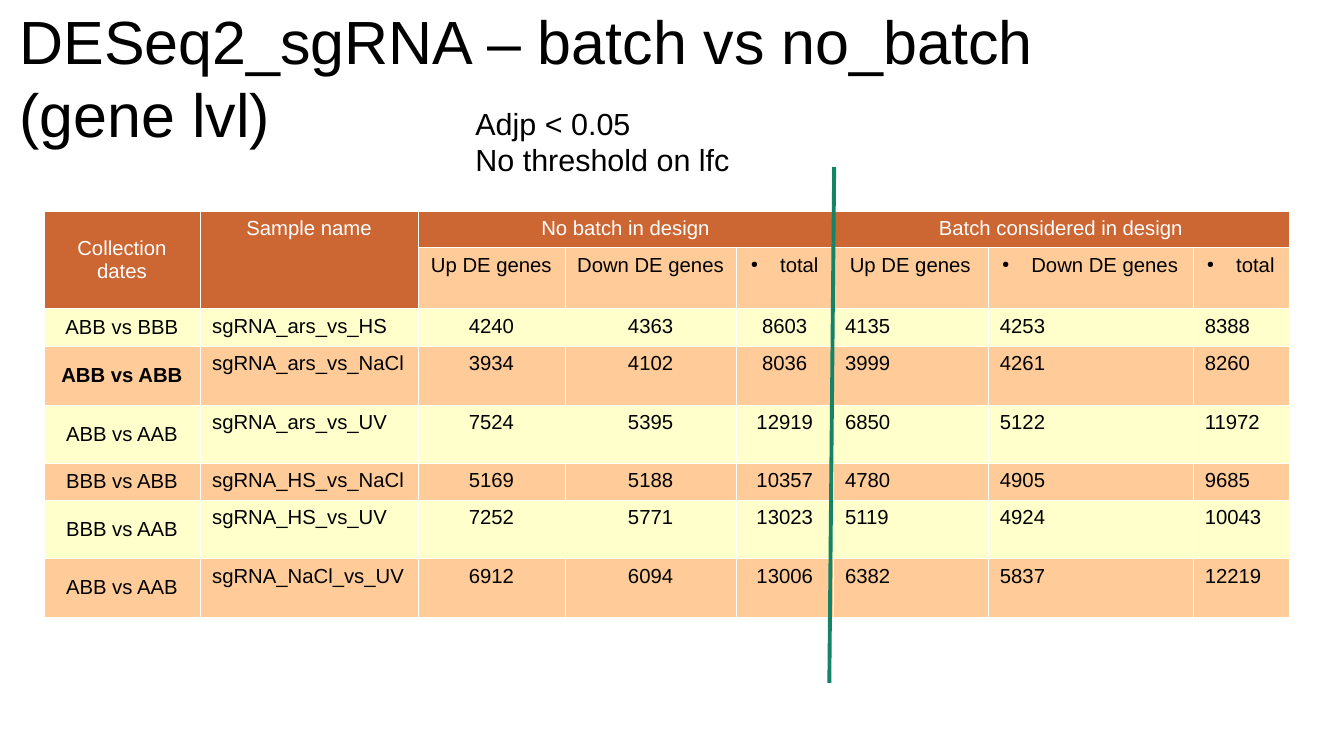
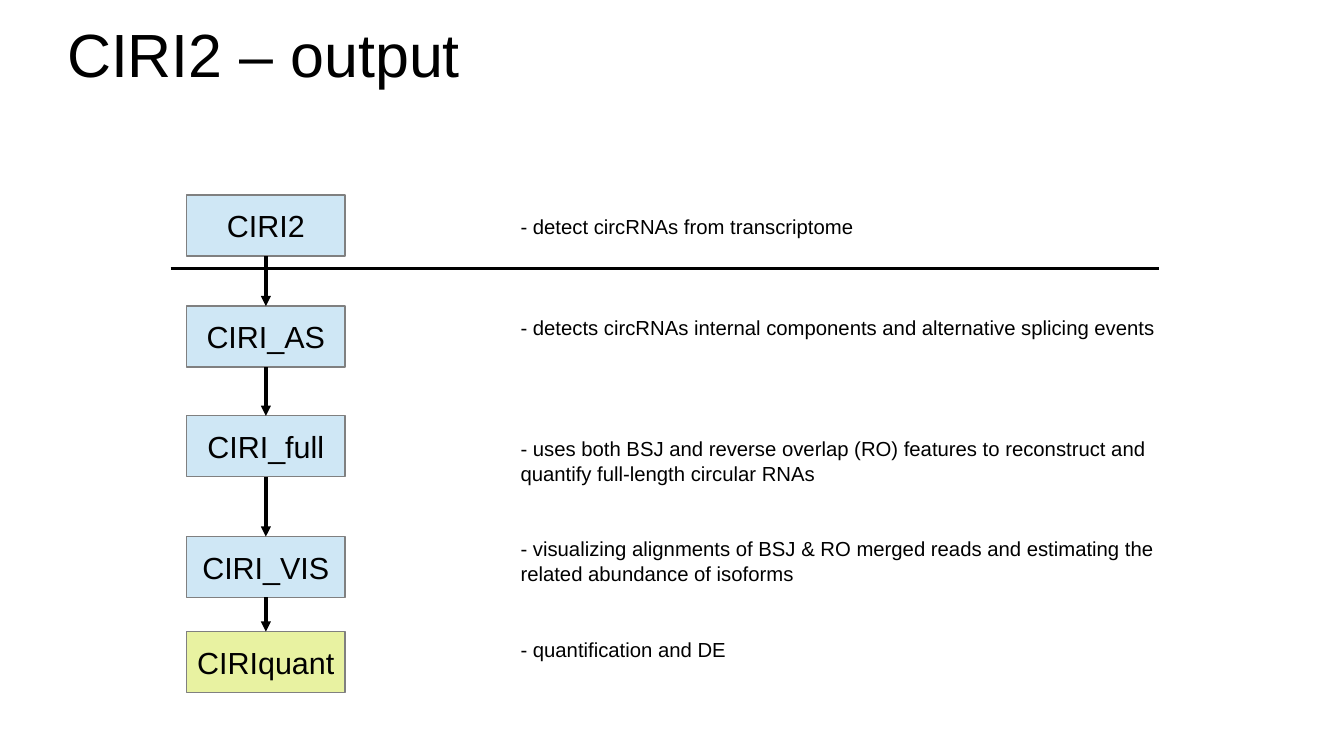
from dataclasses import dataclass
from itertools import pairwise
from lxml.etree import SubElement
from pptx import Presentation
from pptx.dml.color import RGBColor
from pptx.enum.shapes import MSO_CONNECTOR, MSO_SHAPE
from pptx.enum.text import MSO_ANCHOR, PP_ALIGN
from pptx.oxml.ns import qn
from pptx.util import Inches, Pt


@dataclass(frozen=True)
class Theme:
    font: str = "Arial"
    title_size: float = 36
    label_size: float = 18
    body_size: float = 12
    text: str = "000000"
    white: str = "FFFFFF"
    header: str = "CC6633"
    orange: str = "FFCC99"
    yellow: str = "FFFFCC"
    divider: str = "158466"
    step: str = "CFE7F5"
    final_step: str = "E8F2A1"
    outline: str = "808080"


THEME = Theme()
BULLET = "●"

COLUMN_WIDTHS = [1.28, 1.79, 1.2, 1.41, 0.79, 1.27, 1.68, 0.79]
ROW_HEIGHTS = [0.29, 0.5, 0.31, 0.48, 0.48, 0.3, 0.48, 0.48]
GROUP_HEADERS = ["Collection dates", "Sample name", "No batch in design", "", "",
                 "Batch considered in design", "", ""]
COLUMN_HEADERS = ["", "", "Up DE genes", "Down DE genes", BULLET + "total",
                  "Up DE genes", BULLET + "Down DE genes", BULLET + "total"]
COMPARISONS = [
    ["ABB vs BBB", "sgRNA_ars_vs_HS", 4240, 4363, 8603, 4135, 4253, 8388],
    ["ABB vs ABB", "sgRNA_ars_vs_NaCl", 3934, 4102, 8036, 3999, 4261, 8260],
    ["ABB vs AAB", "sgRNA_ars_vs_UV", 7524, 5395, 12919, 6850, 5122, 11972],
    ["BBB vs ABB", "sgRNA_HS_vs_NaCl", 5169, 5188, 10357, 4780, 4905, 9685],
    ["BBB vs AAB", "sgRNA_HS_vs_UV", 7252, 5771, 13023, 5119, 4924, 10043],
    ["ABB vs AAB", "sgRNA_NaCl_vs_UV", 6912, 6094, 13006, 6382, 5837, 12219],
]
BOLD_DATES = "ABB vs ABB"

STEP_LEFT, STEP_WIDTH, STEP_HEIGHT = 1.53, 1.3, 0.5
STEPS = [
    ("CIRI2", 1.6, "- detect circRNAs from transcriptome", 1.71),
    ("CIRI_AS", 2.51,
     "- detects circRNAs internal components and alternative splicing events", 2.54),
    ("CIRI_full", 3.41,
     "- uses both BSJ and reverse overlap (RO) features to reconstruct and "
     "quantify full-length circular RNAs", 3.53),
    ("CIRI_VIS", 4.4,
     "- visualizing alignments of BSJ & RO merged reads and estimating the "
     "related abundance of isoforms", 4.35),
    ("CIRIquant", 5.18, "- quantification and DE", 5.18),
]


def rgb(value):
    return RGBColor.from_string(value)


def write_text(frame, text, size, color=THEME.text, align=PP_ALIGN.LEFT):
    frame.text = text
    for paragraph in frame.paragraphs:
        paragraph.alignment = align
        paragraph.font.name = THEME.font
        paragraph.font.size = Pt(size)
        paragraph.font.color.rgb = rgb(color)


def add_text(page, left, top, width, height, text, size):
    box = page.shapes.add_textbox(Inches(left), Inches(top), Inches(width), Inches(height))
    box.text_frame.word_wrap = True
    write_text(box.text_frame, text, size)
    return box


def add_title(page, left, top, width, height, text):
    frame = add_text(page, left, top, width, height, text, THEME.title_size).text_frame
    frame.vertical_anchor = MSO_ANCHOR.MIDDLE
    frame.margin_left = frame.margin_right = frame.margin_top = frame.margin_bottom = 0


def add_line(page, start, end, color=THEME.text, width=0, arrow=False):
    line = page.shapes.add_connector(
        MSO_CONNECTOR.STRAIGHT, *(Inches(value) for value in (*start, *end)))
    line.line.color.rgb = rgb(color)
    line.line.width = Pt(width)
    if arrow:
        SubElement(line.line._get_or_add_ln(), qn("a:tailEnd"), type="triangle")
    SubElement(line._element.spPr, qn("a:effectLst"))


def add_step(page, top, text, fill):
    box = page.shapes.add_shape(MSO_SHAPE.RECTANGLE, Inches(STEP_LEFT), Inches(top),
                                Inches(STEP_WIDTH), Inches(STEP_HEIGHT))
    box.shadow.inherit = False
    box.fill.solid()
    box.fill.fore_color.rgb = rgb(fill)
    box.line.color.rgb = rgb(THEME.outline)
    box.line.width = Pt(0)
    box.text_frame.word_wrap = False
    box.text_frame.vertical_anchor = MSO_ANCHOR.MIDDLE
    write_text(box.text_frame, text, THEME.label_size, align=PP_ALIGN.CENTER)


def add_color(parent, color):
    SubElement(parent, qn("a:srgbClr"), val=color)


def set_borders(cell):
    properties = cell._tc.get_or_add_tcPr()
    for side in ("lnL", "lnR", "lnT", "lnB"):
        border = SubElement(properties, qn("a:" + side), w=str(Pt(0.06)))
        add_color(SubElement(border, qn("a:solidFill")), THEME.white)


def set_bullet(paragraph):
    properties = paragraph._p.get_or_add_pPr()
    indent = Inches(0.24)
    properties.set("marL", str(indent))
    properties.set("indent", str(-indent))
    bullet_parts = [
        SubElement(properties, qn("a:buClr")),
        SubElement(properties, qn("a:buSzPct"), val="45000"),
        SubElement(properties, qn("a:buChar"), char=BULLET),
    ]
    add_color(bullet_parts[0], THEME.text)
    defaults = properties.find(qn("a:defRPr"))
    for part in bullet_parts:
        defaults.addprevious(part)


def fill_cell(cell, text, fill, color, align):
    set_borders(cell)
    cell.fill.solid()
    cell.fill.fore_color.rgb = rgb(fill)
    cell.margin_left = cell.margin_right = Inches(0.1)
    cell.margin_top = cell.margin_bottom = Inches(0.05)
    write_text(cell.text_frame, text.removeprefix(BULLET), THEME.body_size, color, align)
    paragraph = cell.text_frame.paragraphs[0]
    if text.startswith(BULLET):
        set_bullet(paragraph)
    if text == BOLD_DATES:
        paragraph.font.bold = True


def cell_style(row, column):
    if row == 0 or (row == 1 and column < 2):
        return THEME.header, THEME.white, PP_ALIGN.CENTER
    fill = THEME.yellow if row > 1 and row % 2 == 0 else THEME.orange
    left_aligned = row > 1 and (column == 1 or column > 4)
    return fill, THEME.text, PP_ALIGN.LEFT if left_aligned else PP_ALIGN.CENTER


def add_gene_table(page):
    rows = [GROUP_HEADERS, COLUMN_HEADERS, *COMPARISONS]
    table = page.shapes.add_table(
        len(rows), len(COLUMN_WIDTHS), Inches(0.36), Inches(1.73),
        Inches(sum(COLUMN_WIDTHS)), Inches(sum(ROW_HEIGHTS))).table
    table.first_row = table.horz_banding = False
    for column, width in zip(table.columns, COLUMN_WIDTHS):
        column.width = Inches(width)
    for row, height in zip(table.rows, ROW_HEIGHTS):
        row.height = Inches(height)
    for row, values in enumerate(rows):
        for column, value in enumerate(values):
            cell = table.cell(row, column)
            fill_cell(cell, str(value), *cell_style(row, column))
            if column == 0:
                cell.vertical_anchor = MSO_ANCHOR.MIDDLE
    for column in (0, 1):
        table.cell(0, column).merge(table.cell(1, column))
    for column in (2, 5):
        table.cell(0, column).merge(table.cell(0, column + 2))


def build_batch_comparison(page):
    add_title(page, 0.16, 0.07, 8.75, 1.12, "DESeq2_sgRNA – batch vs no_batch\v(gene lvl)")
    add_gene_table(page)
    add_line(page, (6.84, 1.37), (6.8, 5.6), THEME.divider, 2.3)
    add_text(page, 3.8, 0.81, 4.2, 0.66, "Adjp < 0.05\nNo threshold on lfc", THEME.label_size)


def build_ciri_output(page):
    add_title(page, 0.55, 0.16, 7.67, 0.56, "CIRI2 – output")
    for name, top, note, note_top in STEPS:
        fill = THEME.final_step if name == "CIRIquant" else THEME.step
        add_step(page, top, name, fill)
        add_text(page, 4.17, note_top, 5.5, 0.47, note, THEME.body_size)
    center = STEP_LEFT + STEP_WIDTH / 2
    for (_, top, *_), (_, next_top, *_) in pairwise(STEPS):
        add_line(page, (center, top + STEP_HEIGHT), (center, next_top), arrow=True)
    add_line(page, (1.4, 2.2), (9.5, 2.2))


def main():
    deck = Presentation()
    deck.slide_width, deck.slide_height = Inches(11.02), Inches(6.2)
    for build in (build_batch_comparison, build_ciri_output):
        build(deck.slides.add_slide(deck.slide_layouts[6]))
    deck.save("out.pptx")


if __name__ == "__main__":
    main()
